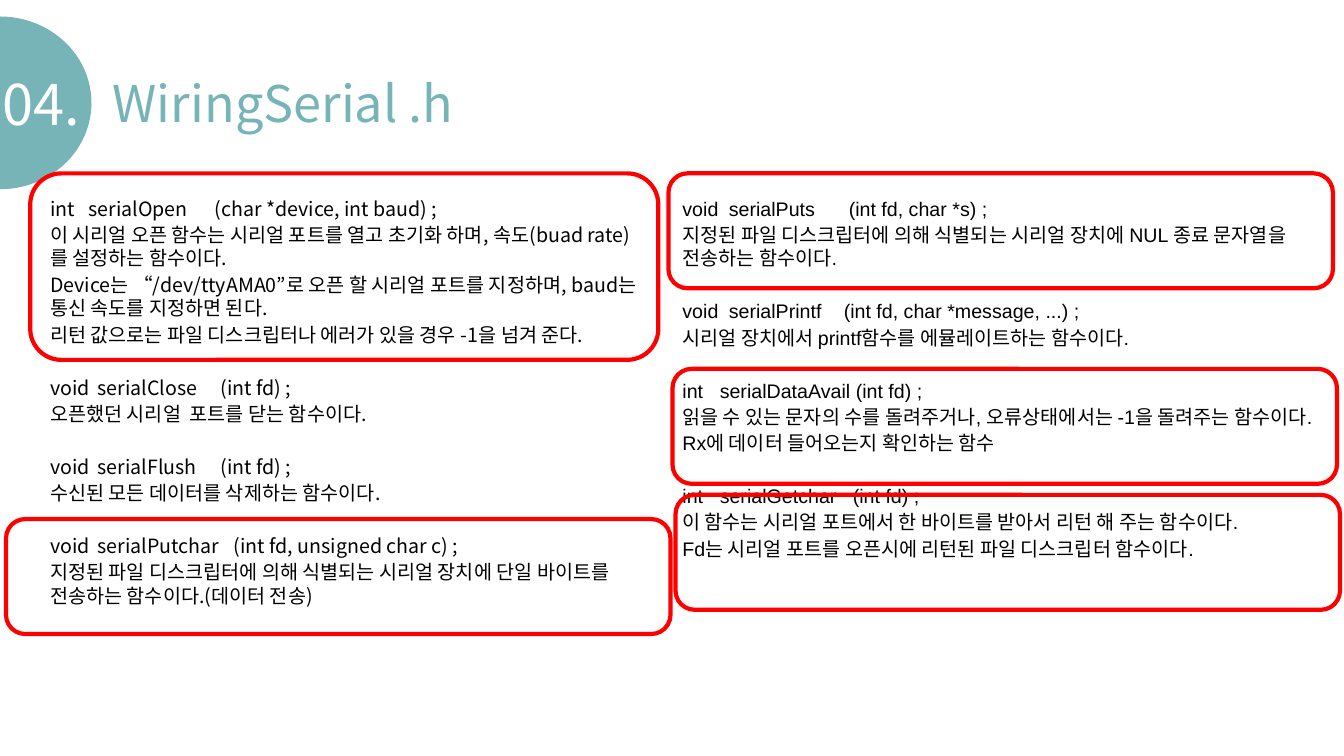
from dataclasses import dataclass

from lxml.etree import SubElement
from pptx import Presentation
from pptx.dml.color import RGBColor
from pptx.enum.shapes import MSO_SHAPE
from pptx.enum.text import MSO_AUTO_SIZE
from pptx.oxml.ns import qn
from pptx.util import Inches, Pt


@dataclass(frozen=True)
class Theme:
    teal: RGBColor = RGBColor(0x76, 0xB4, 0xB8)
    red: RGBColor = RGBColor(0xFF, 0x00, 0x00)
    black: RGBColor = RGBColor(0x00, 0x00, 0x00)
    white: RGBColor = RGBColor(0xFF, 0xFF, 0xFF)
    korean_font: str = "Noto Sans CJK KR"
    latin_font: str = "Arial"
    number_size: int = 40
    title_size: int = 36
    body_size: int = 14
    line_gap: int = 1
    entry_gap: int = 20


THEME = Theme()

LEFT_ENTRIES = [
    ("int\tserialOpen\t(char *device, int baud) ;", (0.38, 1.63), [
        "이 시리얼 오픈 함수는 시리얼 포트를 열고 초기화 하며, 속도(buad rate)를 설정하는 함수이다.",
        "Device는 “/dev/ttyAMA0”로 오픈 할 시리얼 포트를 지정하며, baud는 통신 속도를 지정하면 된다.",
        "리턴 값으로는 파일 디스크립터나 에러가 있을 경우 -1을 넘겨 준다.",
    ]),
    ("void\tserialClose\t(int fd) ;", (0.47, 1.69), [
        "오픈했던 시리얼  포트를 닫는 함수이다.",
    ]),
    ("void\tserialFlush\t(int fd) ;", (0.47, 1.69), [
        "수신된 모든 데이터를 삭제하는 함수이다.",
    ]),
    ("void\tserialPutchar\t(int fd, unsigned char c) ;", (0.47, 1.82), [
        "지정된 파일 디스크립터에 의해 식별되는 시리얼 장치에 단일 바이트를 전송하는 함수이다.(데이터 전송)",
    ]),
]

RIGHT_ENTRIES = [
    ("void\tserialPuts\t(int fd, char *s) ;", (0.46, 1.65), [
        "지정된 파일 디스크립터에 의해 식별되는 시리얼 장치에 NUL 종료 문자열을 전송하는 함수이다.",
    ]),
    ("void\tserialPrintf\t(int fd, char *message, ...) ;", (0.46, 1.6), [
        "시리얼 장치에서 printf함수를 에뮬레이트하는 함수이다.",
    ]),
    ("int\tserialDataAvail (int fd) ;", (0.37,), [
        "읽을 수 있는 문자의 수를 돌려주거나, 오류상태에서는 -1을 돌려주는 함수이다.",
        "Rx에 데이터 들어오는지 확인하는 함수",
    ]),
    ("int\tserialGetchar\t(int fd) ;", (0.37, 1.69), [
        "이 함수는 시리얼 포트에서 한 바이트를 받아서 리턴 해 주는 함수이다.",
        "Fd는 시리얼 포트를 오픈시에 리턴된 파일 디스크립터 함수이다.",
    ]),
]

HIGHLIGHT_BOXES = [(0.3, 1.72, 6.23, 1.85)] + [
    (left, top, 6.59, 1.14)
    for left, top in [(6.63, 1.72), (6.67, 3.66), (6.7, 4.91), (0.06, 5.15)]
]


def add_text_frame(slide, box, wrap):
    text_frame = slide.shapes.add_textbox(*map(Inches, box)).text_frame
    text_frame.word_wrap = wrap
    text_frame.auto_size = MSO_AUTO_SIZE.SHAPE_TO_FIT_TEXT
    return text_frame


def add_run(paragraph, text, font_name, size, color):
    run = paragraph.add_run()
    run.text = text
    run.font.name = font_name
    run.font.size = Pt(size)
    run.font.color.rgb = color
    east_asian = SubElement(run.font._element, qn("a:ea"))
    east_asian.set("typeface", THEME.korean_font)


def add_tab_stops(paragraph, positions):
    tab_list = SubElement(paragraph._p.get_or_add_pPr(), qn("a:tabLst"))
    for position in positions:
        tab = SubElement(tab_list, qn("a:tab"))
        tab.set("pos", str(Inches(position)))
        tab.set("algn", "l")


def add_heading(slide, box):
    left, top, width, height = box
    badge = slide.shapes.add_shape(
        MSO_SHAPE.CHORD, Inches(left - 0.9), Inches(top), Inches(1.8), Inches(height)
    )
    badge.rotation = 180
    badge.adjustments[0] = 53.69
    badge.adjustments[1] = 162.48
    badge.shadow.inherit = False
    badge.fill.solid()
    badge.fill.fore_color.rgb = THEME.teal
    badge.line.color.rgb = THEME.teal
    badge.line.width = Pt(1)

    number = add_text_frame(slide, (left - 0.07, top + 0.47, 1.09, 0.77), False)
    add_run(number.paragraphs[0], "04.", THEME.korean_font, THEME.number_size, THEME.white)
    title = add_text_frame(slide, (left + 1.02, top + 0.5, width - 1.02, 0.71), False)
    add_run(title.paragraphs[0], "WiringSerial .h", THEME.korean_font, THEME.title_size, THEME.teal)


def add_function_column(slide, box, entries, font_name):
    text_frame = add_text_frame(slide, box, True)
    paragraph = text_frame.paragraphs[0]
    for entry_index, (signature, tab_positions, descriptions) in enumerate(entries):
        for line_index, text in enumerate([signature, *descriptions]):
            if entry_index or line_index:
                paragraph = text_frame.add_paragraph()
            starts_entry = entry_index > 0 and line_index == 0
            paragraph.space_before = Pt(THEME.entry_gap if starts_entry else THEME.line_gap)
            paragraph.space_after = Pt(THEME.line_gap)
            if line_index == 0:
                add_tab_stops(paragraph, tab_positions)
            add_run(paragraph, text, font_name, THEME.body_size, THEME.black)


def add_highlight(slide, box):
    highlight = slide.shapes.add_shape(MSO_SHAPE.ROUNDED_RECTANGLE, *map(Inches, box))
    highlight.shadow.inherit = False
    highlight.fill.background()
    highlight.line.color.rgb = THEME.red
    highlight.line.width = Pt(3)


def main():
    presentation = Presentation()
    presentation.slide_width = Inches(13.33)
    presentation.slide_height = Inches(7.5)
    slide = presentation.slides.add_slide(presentation.slide_layouts[6])
    add_heading(slide, (0, 0.17, 4.99, 1.7))
    add_function_column(slide, (0.4, 1.9, 6.04, 4.21), LEFT_ENTRIES, THEME.korean_font)
    add_function_column(slide, (6.67, 1.9, 6.52, 3.97), RIGHT_ENTRIES, THEME.latin_font)
    for box in HIGHLIGHT_BOXES:
        add_highlight(slide, box)
    presentation.save("out.pptx")


if __name__ == "__main__":
    main()
